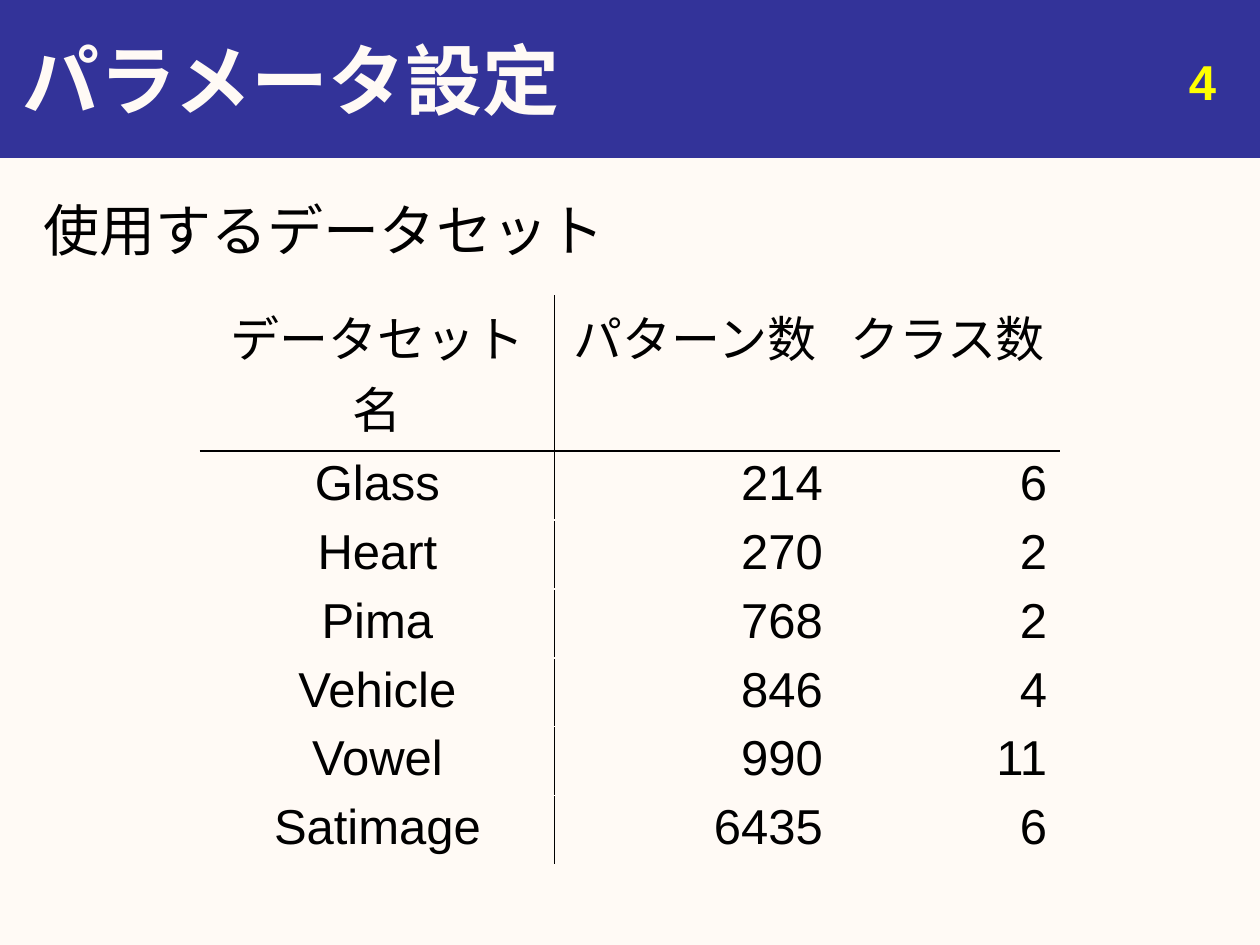
from lxml import etree
from pptx import Presentation
from pptx.dml.color import RGBColor
from pptx.enum.shapes import MSO_SHAPE
from pptx.enum.text import MSO_ANCHOR, PP_ALIGN
from pptx.oxml.ns import qn
from pptx.util import Inches, Pt

RECT = MSO_SHAPE.RECTANGLE
TOP, MIDDLE = MSO_ANCHOR.TOP, MSO_ANCHOR.MIDDLE
LEFT, CENTER, RIGHT = PP_ALIGN.LEFT, PP_ALIGN.CENTER, PP_ALIGN.RIGHT
CREAM, BLUE, BLACK, YELLOW = "FFFAF5", "333399", "000000", "FFFF00"


def color(code):
    return RGBColor.from_string(code)


def write(frame, text, size, code, align=LEFT, bold=False):
    para = frame.paragraphs[0]
    para.text = text
    para.alignment = align
    para.font.name = "Arial"
    para.font.size = Pt(size)
    para.font.bold = bold
    para.font.color.rgb = color(code)


deck = Presentation()
deck.slide_width = Inches(10)
deck.slide_height = Inches(7.5)
slide = deck.slides.add_slide(deck.slide_layouts[6])
slide.background.fill.solid()
slide.background.fill.fore_color.rgb = color(CREAM)

band = slide.shapes.add_shape(RECT, 0, 0, Inches(10), Inches(1.25))
band.shadow.inherit = False
band.fill.solid()
band.fill.fore_color.rgb = color(BLUE)
band.line.color.rgb = color(BLUE)
band.line.width = Pt(0.75)

texts = [
    ("パラメータ設定", (0.08, 0, 9.92, 1.25), 44, CREAM, LEFT, True, MIDDLE),
    ("使用するデータセット", (0.25, 1.5, 9.5, 5.67), 32, BLACK, LEFT, False, TOP),
    ("4", (7.42, 0.36, 2.33, 0.52), 28, YELLOW, RIGHT, True, TOP),
]
for text, place, size, code, align, bold, anchor in texts:
    box = slide.shapes.add_textbox(*[Inches(n) for n in place])
    frame = box.text_frame
    frame.word_wrap = True
    frame.vertical_anchor = anchor
    write(frame, text, size, code, align, bold)

rows = [
    ("データセット名", "パターン数", "クラス数"),
    ("Glass", "214", "6"),
    ("Heart", "270", "2"),
    ("Pima", "768", "2"),
    ("Vehicle", "846", "4"),
    ("Vowel", "990", "11"),
    ("Satimage", "6435", "6"),
]
widths = [2.81, 2.23, 1.78]
heights = [1.23] + [0.53] * 6
table = slide.shapes.add_table(
    len(rows), len(widths), Inches(1.59), Inches(2.35),
    Inches(sum(widths)), Inches(sum(heights)),
).table
table.first_row = False
table.horz_banding = False
for col, width in zip(table.columns, widths):
    col.width = Inches(width)

for r, row in enumerate(rows):
    table.rows[r].height = Inches(heights[r])
    for c, text in enumerate(row):
        cell = table.cell(r, c)
        cell.margin_top = cell.margin_bottom = Inches(0.04)
        align = CENTER if r == 0 or c == 0 else RIGHT
        write(cell.text_frame, text, 28, BLACK, align)
        props = cell._tc.get_or_add_tcPr()
        sides = {"L": c == 1, "R": c == 0, "T": r == 1, "B": r == 0}
        for side, dark in sides.items():
            line = etree.SubElement(props, qn("a:ln" + side), w=str(Pt(1)))
            fill = etree.SubElement(line, qn("a:solidFill"))
            etree.SubElement(fill, qn("a:srgbClr"), val=BLACK if dark else CREAM)
        cell.fill.background()

deck.save("out.pptx")
